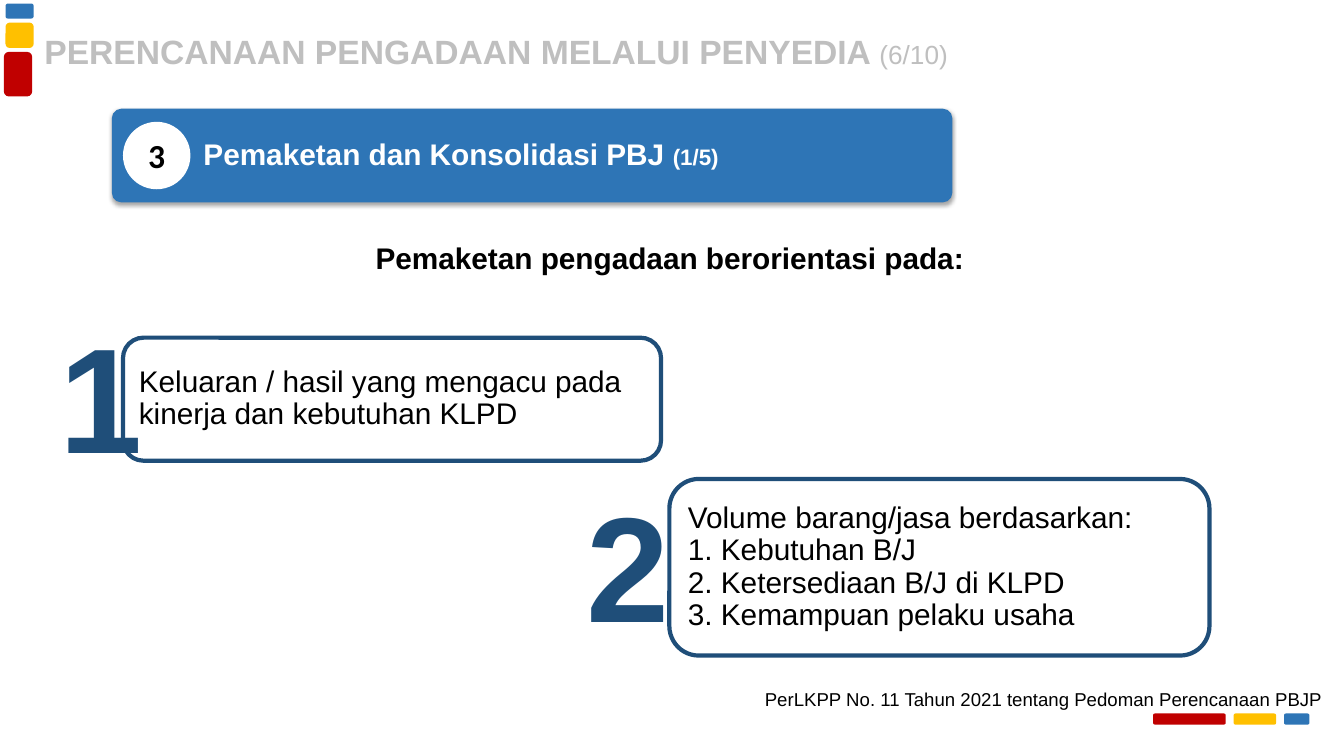
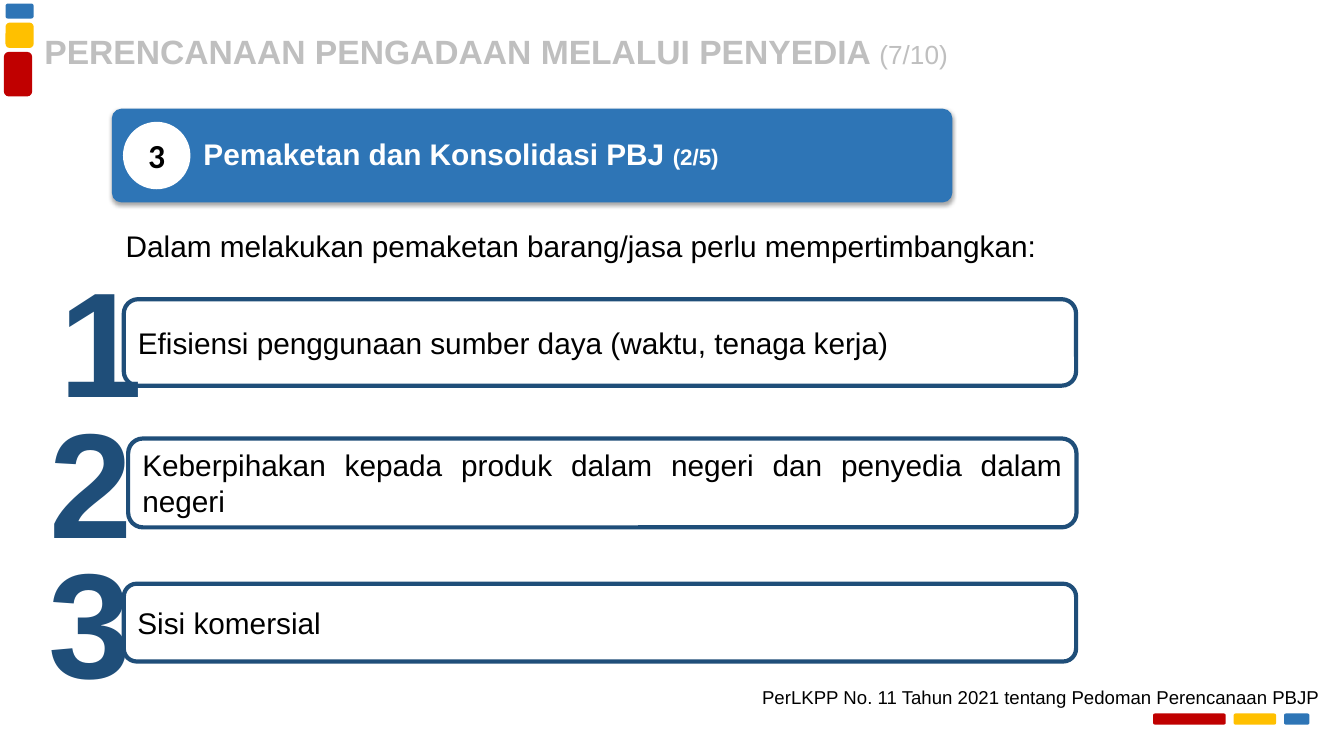
from lxml import etree
from pptx import Presentation
from pptx.dml.color import RGBColor
from pptx.enum.shapes import MSO_SHAPE
from pptx.enum.text import MSO_ANCHOR, PP_ALIGN
from pptx.oxml.ns import qn
from pptx.util import Cm, Pt

ROUNDED, OVAL = MSO_SHAPE.ROUNDED_RECTANGLE, MSO_SHAPE.OVAL
TOP, MIDDLE = MSO_ANCHOR.TOP, MSO_ANCHOR.MIDDLE
LEFT, CENTER, RIGHT, JUSTIFY = PP_ALIGN.LEFT, PP_ALIGN.CENTER, PP_ALIGN.RIGHT, PP_ALIGN.JUSTIFY

RED, YELLOW, BLUE, NAVY = "C00000", "FFC000", "2E75B6", "1F4E79"
WHITE, BLACK, GRAY = "FFFFFF", "000000", "BFBFBF"
BODY_SIZE = 21.3
TEXT_INSETS = (0.25, 0.13, 0.25, 0.13)
HEADING_INSETS = (0.33, 0.18, 0.33, 0.18)
TITLE = "PERENCANAAN PENGADAAN MELALUI PENYEDIA "
SECTION = "Pemaketan dan Konsolidasi PBJ "
CITATION = "PerLKPP No. 11 Tahun 2021 tentang Pedoman Perencanaan PBJP"


def color(value):
    """Turn a hex string into a colour."""
    return RGBColor.from_string(value)


def add_run(paragraph, text, size, font_color, bold, font):
    """Append one formatted run."""
    run = paragraph.add_run()
    run.text = text
    run.font.name = font
    run.font.size = Pt(size)
    run.font.bold = bold
    run.font.color.rgb = color(font_color)


def write_text(shape, text, size=BODY_SIZE, font_color=BLACK, bold=False, font="Arial",
               align=LEFT, anchor=TOP, insets=TEXT_INSETS, spacing=1.0, wrap=True,
               tail="", tail_size=BODY_SIZE, tail_bold=False):
    """Fill a shape with one paragraph per line, ending in an optional smaller tail."""
    frame = shape.text_frame
    frame.word_wrap = wrap
    frame.vertical_anchor = anchor
    frame.margin_left, frame.margin_top, frame.margin_right, frame.margin_bottom = map(Cm, insets)
    for index, line in enumerate(text.split("\n")):
        paragraph = frame.add_paragraph() if index else frame.paragraphs[0]
        paragraph.alignment = align
        paragraph.line_spacing = spacing
        add_run(paragraph, line, size, font_color, bold, font)
    if tail:
        add_run(paragraph, tail, tail_size, font_color, tail_bold, font)


def add_text(shapes, text, box, **text_format):
    """Add a text box."""
    write_text(shapes.add_textbox(*map(Cm, box)), text, **text_format)


def add_panel(shapes, box, fill, line=None, kind=ROUNDED):
    """Add a filled shape without shadow, outlined on request."""
    shape = shapes.add_shape(kind, *map(Cm, box))
    shape.shadow.inherit = False
    shape.fill.solid()
    shape.fill.fore_color.rgb = color(fill)
    if line:
        shape.line.color.rgb = color(line)
        shape.line.width = Pt(3)
    else:
        shape.line.fill.background()
    return shape


def add_shadow(shape):
    """Give a shape a soft black shadow straight below it."""
    effects = shape._element.spPr.find(qn("a:effectLst"))
    shadow = etree.SubElement(effects, qn("a:outerShdw"), blurRad=str(Pt(3.1)),
                              dist=str(Pt(1.8)), dir="5400000", rotWithShape="0")
    shade = etree.SubElement(shadow, qn("a:srgbClr"), val=BLACK)
    etree.SubElement(shade, qn("a:alpha"), val="35000")


def add_marks(slide):
    """Draw the coloured marks in the top left and bottom right corners."""
    corner = slide.shapes.add_group_shape().shapes
    top = 0.09
    for fill, left, height in ((BLUE, 0.14, 0.38), (YELLOW, 0.14, 0.64), (RED, 0.1, 1.12)):
        add_panel(corner, (left, top, 0.71, height), fill)
        top += height + 0.1
    footer = slide.shapes.add_group_shape().shapes
    left = 29.06
    for fill, width in ((RED, 1.83), (YELLOW, 1.07), (BLUE, 0.64)):
        add_panel(footer, (left, 17.98, width, 0.28), fill)
        left += width + 0.2


def add_section_band(slide, part):
    """Draw the blue section band with its number disc."""
    band = add_panel(slide.shapes, (2.82, 2.74, 21.18, 2.36), BLUE)
    band.adjustments[0] = 0.1
    add_shadow(band)
    write_text(band, SECTION, font_color=WHITE, bold=True, anchor=MIDDLE, spacing=0.9,
               insets=(2.24, 0.33, 0.33, 0.33), tail=part, tail_size=16, tail_bold=True)
    disc = add_panel(slide.shapes, (3.1, 3.07, 1.7, 1.7), WHITE, kind=OVAL)
    write_text(disc, "3", size=24, bold=True, font="Calibri", align=CENTER, anchor=MIDDLE)


def add_numbered_item(slide, number, text, box, number_at, **text_format):
    """Draw an outlined box with a large number at its left edge."""
    shapes = slide.shapes.add_group_shape().shapes
    panel = add_panel(shapes, box, WHITE, line=NAVY)
    write_text(panel, text, anchor=MIDDLE, **text_format)
    add_text(shapes, str(number), (*number_at, 2.62, 4.83),
             size=106.7, font_color=NAVY, bold=True, wrap=False)


def add_content_slide(presentation, page, part, citation_at, heading, heading_box,
                      items, heading_format, item_format):
    """Build one slide with title, band, heading, numbered items and citation."""
    slide = presentation.slides.add_slide(presentation.slide_layouts[6])
    add_marks(slide)
    add_section_band(slide, part)
    add_text(slide.shapes, heading, heading_box, insets=HEADING_INSETS, **heading_format)
    for number, (text, box, number_at) in enumerate(items, 1):
        add_numbered_item(slide, number, text, box, number_at, **item_format)
    add_text(slide.shapes, TITLE, (1.12, 0.48, 26.82, 1.63), size=24, font_color=GRAY,
             bold=True, anchor=MIDDLE, insets=(0, 0, 0, 0), tail=page, tail_size=18.7)
    add_text(slide.shapes, CITATION, (*citation_at, 15.32, 0.84), size=13.3, align=RIGHT)


def main():
    """Build and save the presentation."""
    presentation = Presentation()
    presentation.slide_width, presentation.slide_height = Cm(33.87), Cm(19.05)
    orientation_items = [
        ("Keluaran / hasil yang mengacu pada kinerja dan kebutuhan KLPD",
         (3.1, 8.51, 13.56, 3.1), (1.24, 7.54)),
        ("Volume barang/jasa berdasarkan:\n1. Kebutuhan B/J\n"
         "2. Ketersediaan B/J di KLPD\n3. Kemampuan pelaku usaha",
         (16.87, 12.07, 13.61, 4.45), (14.53, 11.79)),
    ]
    add_content_slide(presentation, "(6/10)", "(1/5)", (18.26, 17.2),
                      "Pemaketan pengadaan berorientasi pada:", (6.68, 5.87, 20.4, 1.24),
                      orientation_items, {"bold": True, "align": CENTER}, {"spacing": 0.9})
    consideration_items = [
        ("Efisiensi penggunaan sumber daya (waktu, tenaga kerja)",
         (3.12, 7.54, 24, 2.18), (1.24, 6.12)),
        ("Keberpihakan kepada produk dalam negeri dan penyedia dalam negeri",
         (3.23, 11.05, 23.9, 2.24), (0.99, 9.68)),
        ("Sisi komersial", (3.12, 14.71, 24, 1.96), (0.97, 13.21)),
    ]
    add_content_slide(presentation, "(7/10)", "(2/5)", (18.19, 17.15),
                      "Dalam melakukan pemaketan barang/jasa perlu mempertimbangkan:",
                      (2.84, 5.56, 24.28, 1.24), consideration_items, {}, {"align": JUSTIFY})
    presentation.save("out.pptx")


if __name__ == "__main__":
    main()
